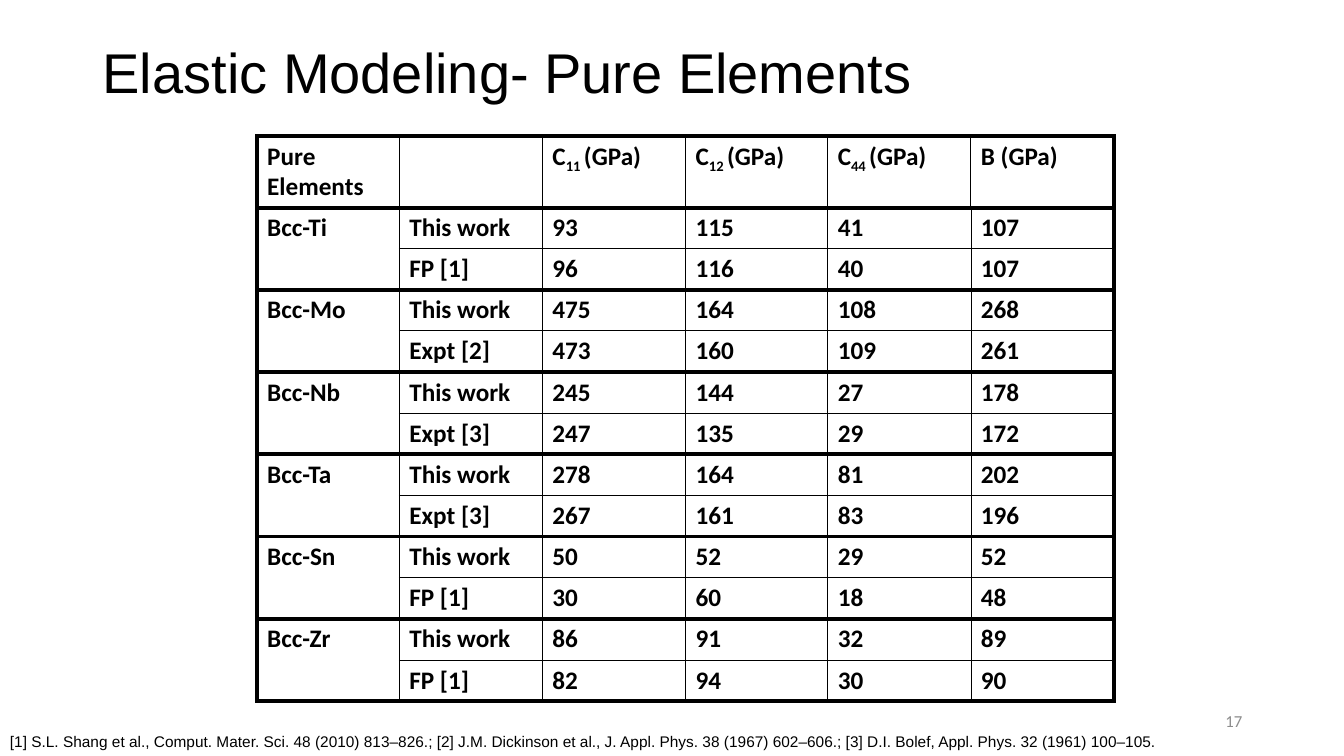
from dataclasses import dataclass
from typing import NamedTuple

from lxml import etree
from pptx import Presentation
from pptx.dml.color import RGBColor
from pptx.enum.text import MSO_ANCHOR, PP_ALIGN
from pptx.oxml.ns import qn
from pptx.util import Pt

TOP, MIDDLE = MSO_ANCHOR.TOP, MSO_ANCHOR.MIDDLE
LEFT, RIGHT = PP_ALIGN.LEFT, PP_ALIGN.RIGHT
PX = 9144  # EMU in one px, 100 px to the inch


@dataclass(frozen=True)
class Theme:
    ink: str = "000000"
    muted: str = "8C8C8C"
    heading_font: str = "Arial"
    table_font: str = "Calibri"
    title_size: int = 40
    table_size: int = 18
    number_size: int = 12
    reference_size: int = 11
    thick: float = 3
    medium: float = 1
    thin: float = 0.5
    subscript: str = "-25000"


THEME = Theme()


class Label(NamedTuple):
    text: str
    left: int
    top: int
    width: int
    height: int
    font: str
    size: int
    color: str
    align: PP_ALIGN = LEFT
    anchor: MSO_ANCHOR = TOP
    spacing: float = 1.0


class Element(NamedTuple):
    name: str
    work: tuple[int, ...]
    source: str
    reference: tuple[int, ...]


# Content
REFERENCES = (
    "[1] S.L. Shang et al., Comput. Mater. Sci. 48 (2010) 813–826.; "
    "[2] J.M. Dickinson et al., J. Appl. Phys. 38 (1967) 602–606.; "
    "[3] D.I. Bolef, Appl. Phys. 32 (1961) 100–105."
)
LABELS = [
    Label(REFERENCES, 0, 721, 1182, 29,
          THEME.heading_font, THEME.reference_size, THEME.ink),
    Label("17", 942, 695, 300, 40, THEME.table_font, THEME.number_size,
          THEME.muted, align=RIGHT, anchor=MIDDLE),
    Label("Elastic Modeling- Pure Elements", 92, 40, 1150, 145,
          THEME.heading_font, THEME.title_size, THEME.ink, spacing=0.9),
]
# Each heading is plain text, subscript and plain text
HEADINGS = [
    ("Pure Elements",), (), ("C", "11 ", "(GPa)"), ("C", "12 ", "(GPa)"),
    ("C", "44 ", "(GPa)"), ("B (GPa)",),
]
ELEMENTS = [
    Element("Bcc-Ti", (93, 115, 41, 107), "FP [1]", (96, 116, 40, 107)),
    Element("Bcc-Mo", (475, 164, 108, 268), "Expt [2]", (473, 160, 109, 261)),
    Element("Bcc-Nb", (245, 144, 27, 178), "Expt [3]", (247, 135, 29, 172)),
    Element("Bcc-Ta", (278, 164, 81, 202), "Expt [3]", (267, 161, 83, 196)),
    Element("Bcc-Sn", (50, 52, 29, 52), "FP [1]", (30, 60, 18, 48)),
    Element("Bcc-Zr", (86, 91, 32, 89), "FP [1]", (82, 94, 30, 90)),
]
TABLE_LEFT, TABLE_TOP, TABLE_WIDTH, TABLE_HEIGHT = 255, 135, 850, 557
HEADER_HEIGHT, BODY_HEIGHT = 63, 487


def add_span(para, text: str, font: str, size: int, color: str, bold: bool = False):
    span = para.add_run()
    span.text = text
    formats = {"name": font, "size": Pt(size), "bold": bold}
    for name, value in formats.items():
        setattr(span.font, name, value)
    span.font.color.rgb = RGBColor.from_string(color)
    return span


def add_label(page, label: Label) -> None:
    box = page.shapes.add_textbox(
        label.left * PX, label.top * PX, label.width * PX, label.height * PX)
    frame = box.text_frame
    frame.word_wrap = True
    frame.vertical_anchor = label.anchor
    para = frame.paragraphs[0]
    para.alignment = label.align
    para.line_spacing = label.spacing
    add_span(para, label.text, label.font, label.size, label.color)


def border_widths(row: int, column: int, last_column: int) -> dict[str, float]:
    header = row == 0
    inner = THEME.medium if header else THEME.thin
    first_of_pair = row % 2 == 1
    return {
        "a:lnL": THEME.thick if column == 0 else inner,
        "a:lnR": THEME.thick if column == last_column else inner,
        "a:lnT": THEME.thick if header or first_of_pair else THEME.thin,
        "a:lnB": THEME.thin if first_of_pair and column else THEME.thick,
    }


def set_borders(cell, widths: dict[str, float]) -> None:
    properties = cell._tc.get_or_add_tcPr()
    for tag, width in widths.items():
        line = etree.SubElement(properties, qn(tag), w=str(Pt(width)))
        fill = etree.SubElement(line, qn("a:solidFill"))
        etree.SubElement(fill, qn("a:srgbClr"), val=THEME.ink)


def fill_cell(cell, parts: tuple[str, ...]) -> None:
    para = cell.text_frame.paragraphs[0]
    para.font.size = Pt(THEME.table_size)
    for index, text in enumerate(parts):
        span = add_span(para, text, THEME.table_font, THEME.table_size,
                        THEME.ink, bold=True)
        if index == 1:
            span._r.get_or_add_rPr().set("baseline", THEME.subscript)


def share(total: int, count: int) -> list[int]:
    """Split a length into whole px that differ by one at most."""
    return [total * (i + 1) // count - total * i // count for i in range(count)]


def add_elastic_table(page) -> None:
    rows = [HEADINGS]
    for element in ELEMENTS:
        rows.append([(element.name,), ("This work",),
                     *((str(value),) for value in element.work)])
        rows.append([(), (element.source,),
                     *((str(value),) for value in element.reference)])

    holder = page.shapes.add_table(
        len(rows), len(HEADINGS), TABLE_LEFT * PX, TABLE_TOP * PX,
        TABLE_WIDTH * PX, TABLE_HEIGHT * PX)
    table = holder.table
    table.first_row = table.horz_banding = False
    for column, width in zip(table.columns, share(TABLE_WIDTH, len(HEADINGS))):
        column.width = width * PX
    heights = [HEADER_HEIGHT, *share(BODY_HEIGHT, len(rows) - 1)]
    for row, height in zip(table.rows, heights):
        row.height = height * PX
    holder.height = TABLE_HEIGHT * PX

    for row_index, row_parts in enumerate(rows):
        for column_index, parts in enumerate(row_parts):
            cell = table.cell(row_index, column_index)
            fill_cell(cell, parts)
            set_borders(cell, border_widths(
                row_index, column_index, len(HEADINGS) - 1))
            cell.fill.background()

    # Each element name spans its two rows
    for row_index in range(1, len(rows), 2):
        table.cell(row_index, 0).merge(table.cell(row_index + 1, 0))


def main() -> None:
    deck = Presentation()
    deck.slide_width, deck.slide_height = 1333 * PX, 750 * PX
    page = deck.slides.add_slide(deck.slide_layouts[6])
    add_elastic_table(page)
    for label in LABELS:
        add_label(page, label)
    deck.save("out.pptx")


if __name__ == "__main__":
    main()
